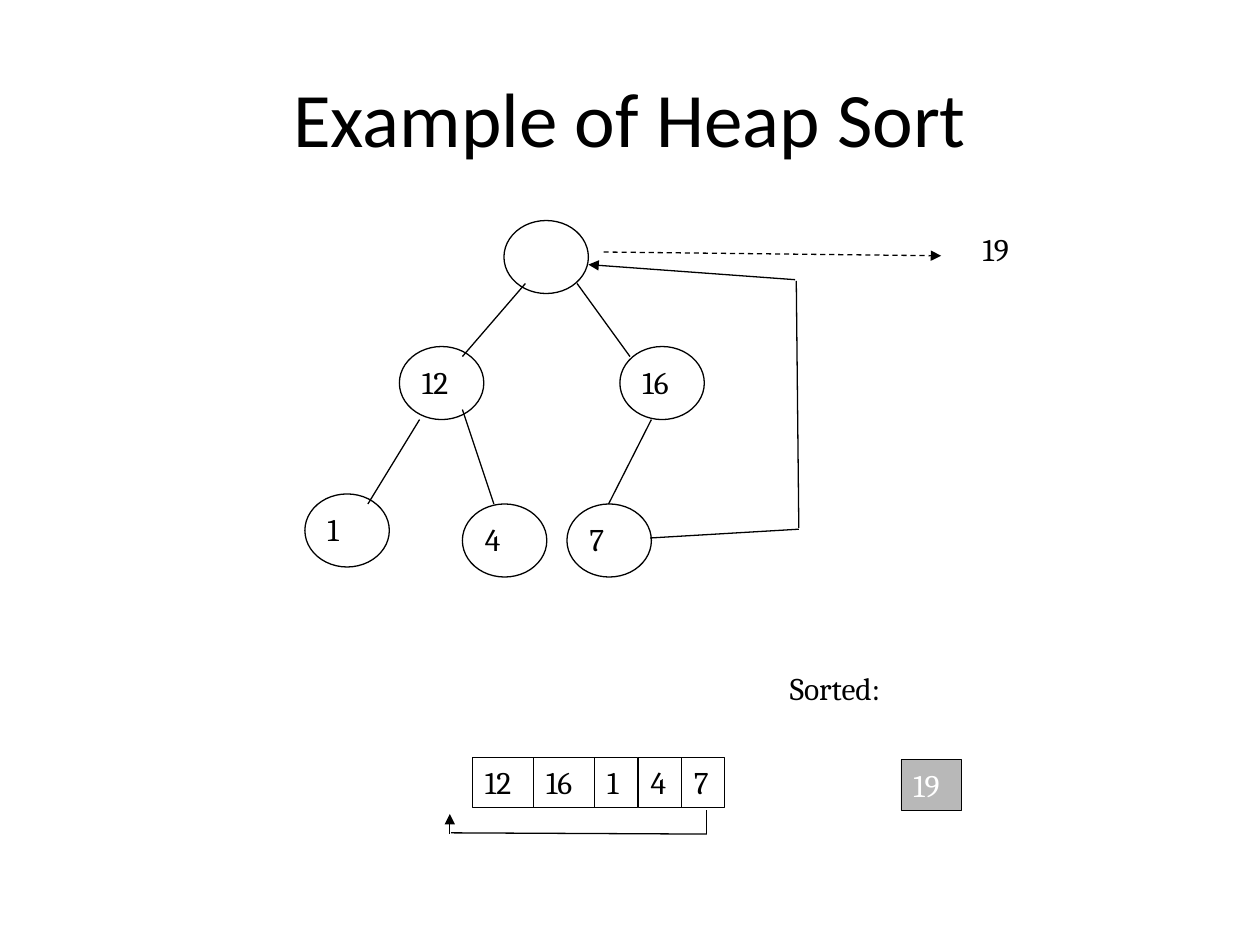
from pptx import Presentation
from pptx.dml.color import RGBColor
from pptx.enum.dml import MSO_LINE
from pptx.enum.shapes import MSO_CONNECTOR as CONN, MSO_SHAPE as SHAPE
from pptx.enum.text import MSO_ANCHOR as ANCHOR, MSO_AUTO_SIZE as AUTO, PP_ALIGN as ALIGN
from pptx.oxml.ns import qn
from pptx.util import Inches, Pt
from lxml import etree

BLACK, WHITE, GREY = "000000", "FFFFFF", "B8B8B8"
BODY = {"name": "Cambria", "size": Pt(18)}
HEADING = {"name": "Calibri", "size": Pt(44)}
NODE_W, NODE_H = 0.67, 0.58
TEXT_H = 0.4
DIGIT_W = {1: 0.34, 2: 0.48}


def rgb(color):
    return RGBColor.from_string(color)


def write(sp, text, font=BODY, color=BLACK, align=ALIGN.LEFT, **frame):
    tf = sp.text_frame
    settings = {"word_wrap": False, "auto_size": AUTO.SHAPE_TO_FIT_TEXT,
                "vertical_anchor": ANCHOR.TOP, **frame}
    for name, value in settings.items():
        setattr(tf, name, value)
    p = tf.paragraphs[0]
    p.alignment = align
    r = p.add_run()
    r.text = text
    for name, value in font.items():
        setattr(r.font, name, value)
    r.font.color.rgb = rgb(color)


def add_label(s, x, y, w, h, text, **style):
    sp = s.shapes.add_textbox(*map(Inches, (x, y, w, h)))
    write(sp, text, **style)


def add_outline(s, kind, x, y, w, h, width, fill=None):
    sp = s.shapes.add_shape(kind, *map(Inches, (x, y, w, h)))
    sp.shadow.inherit = False
    if fill:
        sp.fill.solid()
        sp.fill.fore_color.rgb = rgb(fill)
    else:
        sp.fill.background()
    sp.line.color.rgb = rgb(BLACK)
    sp.line.width = Pt(width)
    return sp


def add_line(s, x, y, start, end, arrow=False, dashed=False):
    ends = (x + start[0], y + start[1], x + end[0], y + end[1])
    c = s.shapes.add_connector(CONN.STRAIGHT, *map(Inches, ends))
    c.line.color.rgb = rgb(BLACK)
    c.line.width = Pt(0.75)
    if dashed:
        c.line.dash_style = MSO_LINE.DASH
    if arrow:
        etree.SubElement(c.line._get_or_add_ln(), qn("a:tailEnd"), type="triangle")
    etree.SubElement(c._element.spPr, qn("a:effectLst"))


def add_title(s, x, y, w, h):
    add_label(s, x, y, w, h, "Example of Heap Sort", font=HEADING, align=ALIGN.CENTER,
              word_wrap=True, auto_size=AUTO.NONE, vertical_anchor=ANCHOR.MIDDLE)


def add_heap(s, x, y):
    # Nodes; the root has just been emptied
    nodes = [("", 1.58, 0), ("12", 0.75, 1), ("16", 2.5, 1),
             ("4", 1.25, 2.25), ("1", 0, 2.17), ("7", 2.08, 2.25)]
    for text, dx, dy in nodes:
        add_outline(s, SHAPE.OVAL, x + dx, y + dy, NODE_W, NODE_H, 0.75)
        if text:
            add_label(s, x + dx + 0.08, y + dy + 0.08, DIGIT_W[len(text)], TEXT_H, text)

    # Edges from parent to child
    edges = [((1.75, 0.5), (1.25, 1.08)), ((0.91, 1.58), (0.5, 2.25)),
             ((1.25, 1.5), (1.5, 2.25)), ((2.16, 0.5), (2.58, 1.08)),
             ((2.75, 1.58), (2.41, 2.25))]
    for start, end in edges:
        add_line(s, x, y, start, end)

    # The largest value leaves the root
    add_line(s, x, y, (2.37, 0.25), (5.05, 0.28), arrow=True, dashed=True)
    add_label(s, x + 5.28, y + 0.03, DIGIT_W[2], TEXT_H, "19")

    # The last leaf moves up to the root
    add_line(s, x, y, (2.74, 2.52), (3.92, 2.45))
    add_line(s, x, y, (3.9, 0.48), (3.92, 2.44))
    add_line(s, x, y, (3.89, 0.47), (2.25, 0.35), arrow=True)


def add_cell(s, x, y, text, fill=None, color=BLACK):
    w = DIGIT_W[len(text)]
    sp = add_outline(s, SHAPE.RECTANGLE, x, y, w, TEXT_H, 0.25, fill)
    write(sp, text, color=color)
    return w


def add_array(s, x, y):
    # Cells stand side by side, each as wide as its number
    left = x
    for text in ("12", "16", "1", "4", "7"):
        left += add_cell(s, left, y, text) + 0.005

    # The last cell moves to the front
    add_line(s, x, y, (1.86, 0.42), (1.86, 0.61))
    add_line(s, x, y, (1.86, 0.61), (-0.17, 0.6))
    add_line(s, x, y, (-0.18, 0.61), (-0.18, 0.45), arrow=True)


def add_sorted(s, x, y):
    add_label(s, x, y, 1.04, TEXT_H, "Sorted:")
    add_cell(s, x + 0.98, y + 0.77, "19", fill=GREY, color=WHITE)


def main():
    prs = Presentation()
    prs.slide_width, prs.slide_height = Inches(10), Inches(7.5)
    s = prs.slides.add_slide(prs.slide_layouts[6])
    add_title(s, 0.5, 0.3, 9, 1.25)
    add_heap(s, 2.42, 1.75)
    add_array(s, 3.75, 6.01)
    add_sorted(s, 6.17, 5.26)
    prs.save("out.pptx")


if __name__ == "__main__":
    main()
